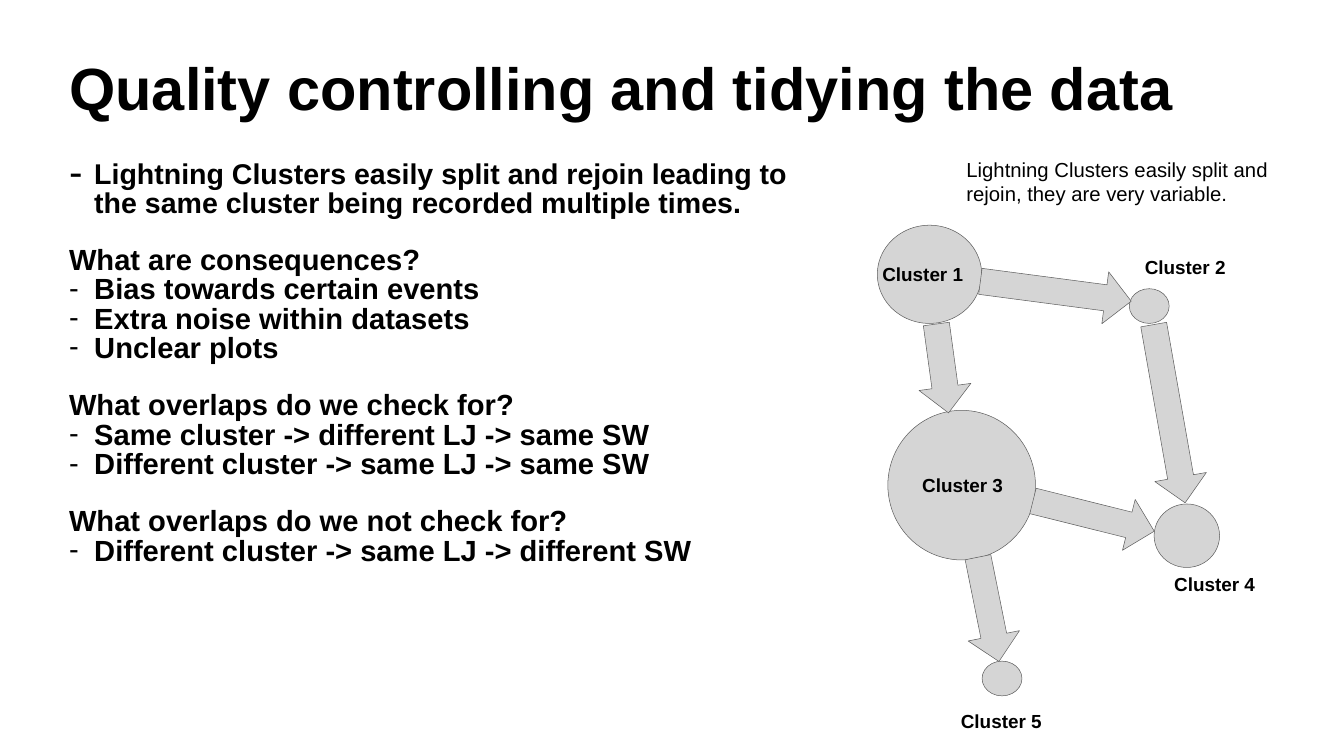
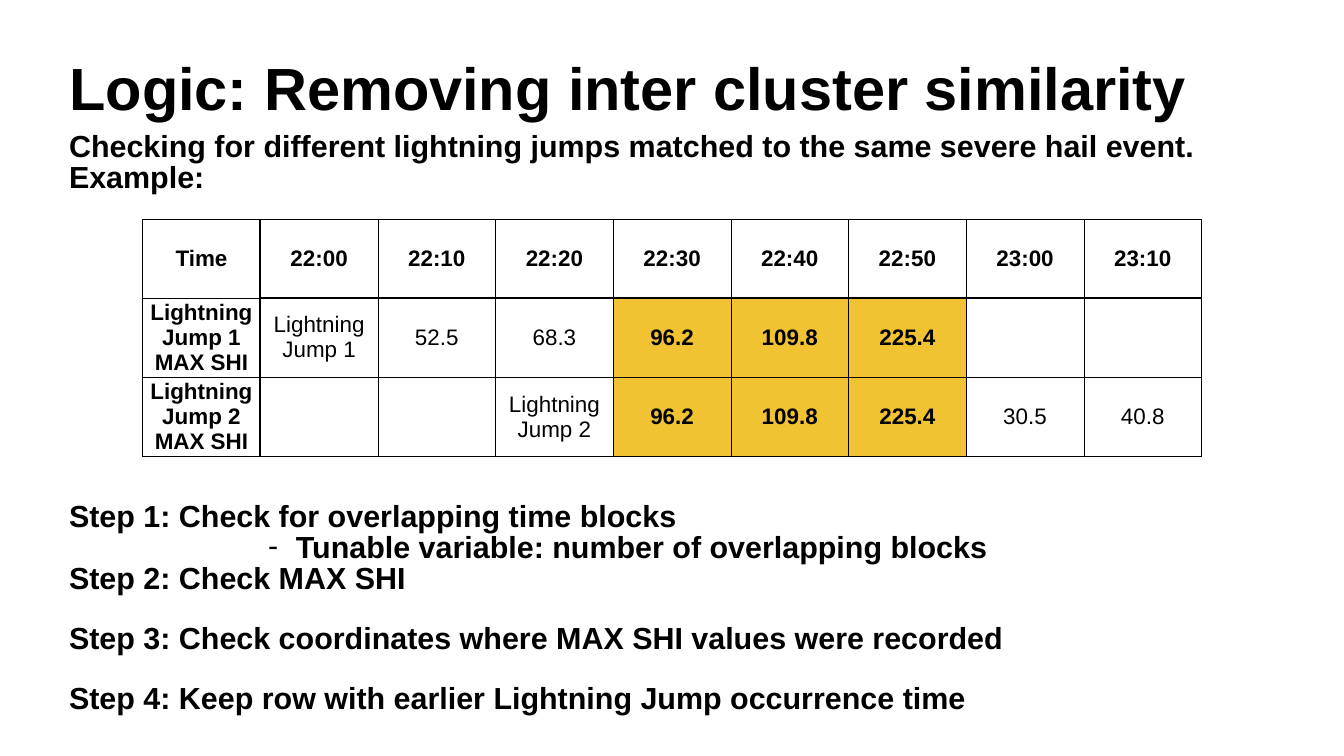
from dataclasses import dataclass

from lxml.etree import SubElement
from pptx import Presentation
from pptx.dml.color import RGBColor
from pptx.enum.shapes import MSO_SHAPE as Preset
from pptx.enum.text import MSO_ANCHOR as Anchor, MSO_AUTO_SIZE as AutoSize, PP_ALIGN as Align
from pptx.oxml.ns import qn
from pptx.util import Cm, Pt


@dataclass(frozen=True)
class Theme:
    font: str = "Arial"
    ink: str = "000000"
    node: str = "D5D5D5"
    edge: str = "5E5E5E"
    match: str = "F1C232"
    title: float = 85
    finding: float = 40.8
    checks: float = 41.6
    steps: float = 43.5
    cell: float = 32
    note: float = 29
    label: float = 27
    spacing: float = 0.84
    thin: float = 1
    thick: float = 3


THEME = Theme()


@dataclass(frozen=True)
class Line:
    text: str
    size: float
    before: float = 0
    indent: float = 0
    hang: float = 0
    bullet_scale: int = 100


@dataclass(frozen=True)
class Cluster:
    name: str
    left: float
    top: float
    width: float
    height: float
    label_left: float
    label_top: float


@dataclass(frozen=True)
class Arrow:
    left: float
    top: float
    width: float
    angle: float


CLUSTERS = [
    Cluster("Cluster 1", 44.22, 11.35, 5.26, 4.95, 44.22, 13),
    Cluster("Cluster 2", 56.92, 14.55, 2.01, 1.75, 57.45, 12.65),
    Cluster("Cluster 3", 44.75, 20.68, 7.44, 7.54, 46.23, 23.6),
    Cluster("Cluster 4", 58.17, 25.4, 3.3, 3.2, 58.93, 28.6),
    Cluster("Cluster 5", 49.5, 33.32, 2.01, 1.75, 48.18, 35.51),
]

ARROWS = [
    Arrow(45.24, 17.25, 4.52, 82.2),
    Arrow(47.14, 29.39, 5.36, 78.6),
    Arrow(51.97, 24.69, 6.3, 14),
    Arrow(54.38, 19.53, 9.12, 80),
    Arrow(49.38, 13.36, 7.67, 7.5),
]


def heading(text: str, before: float = 40) -> Line:
    return Line(text, THEME.checks, before)


def bullet(text: str) -> Line:
    return Line(text, THEME.checks, indent=1.27, hang=1.27)


def step(text: str, before: float = 0) -> Line:
    return Line(text, THEME.steps, before)


CHECKS = [
    Line("Lightning Clusters easily split and rejoin leading to the same cluster "
         "being recorded multiple times.", THEME.finding, 0, 1.27, 1.27, 142),
    heading("What are consequences?"),
    bullet("Bias towards certain events"),
    bullet("Extra noise within datasets"),
    bullet("Unclear plots"),
    heading("What overlaps do we check for?"),
    bullet("Same cluster -> different LJ -> same SW"),
    bullet("Different cluster -> same LJ -> same SW"),
    heading("What overlaps do we not check for?"),
    bullet("Different cluster -> same LJ -> different SW"),
]

STEPS = [
    step("Checking for different lightning jumps matched to the same severe hail event. Example:"),
    step("Step 1: Check for overlapping time blocks", 441),
    Line("Tunable variable: number of overlapping blocks", THEME.steps, indent=11.43, hang=1.4),
    step("Step 2: Check MAX SHI"),
    step("Step 3: Check coordinates where MAX SHI values were recorded", 42),
    step("Step 4: Keep row with earlier Lightning Jump occurrence time", 42),
]

SHARED = ["96.2", "109.8", "225.4"]
JUMPS = [
    ["Time", "22:00", "22:10", "22:20", "22:30", "22:40", "22:50", "23:00", "23:10"],
    ["Lightning Jump 1\nMAX SHI", "Lightning Jump 1", "52.5", "68.3", *SHARED, "", ""],
    ["Lightning Jump 2\nMAX SHI", "", "", "Lightning Jump 2", *SHARED, "30.5", "40.8"],
]


def write(para, text: str, *, size: float, bold: bool = True, align=Align.LEFT,
          spacing: float = 1.0, before: float = 0) -> None:
    """Put text in a paragraph with the given format."""
    para.alignment = align
    para.line_spacing = spacing
    para.space_before = Pt(before)
    span = para.add_run()
    span.text = text
    span.font.name = THEME.font
    span.font.size = Pt(size)
    span.font.bold = bold
    span.font.color.rgb = RGBColor.from_string(THEME.ink)


def add_dash(para, line: Line) -> None:
    properties = para._p.get_or_add_pPr()
    properties.set("marL", str(Cm(line.indent)))
    properties.set("indent", str(-Cm(line.hang)))
    color = SubElement(properties, qn("a:buClr"))
    SubElement(color, qn("a:srgbClr"), val=THEME.ink)
    SubElement(properties, qn("a:buSzPct"), val=str(line.bullet_scale * 1000))
    SubElement(properties, qn("a:buFont"), typeface=THEME.font)
    SubElement(properties, qn("a:buChar"), char="-")


def add_box(page, left: float, top: float, width: float, height: float,
            inset: float, inset_top: float | None = None):
    box = page.shapes.add_textbox(Cm(left), Cm(top), Cm(width), Cm(height))
    frame = box.text_frame
    frame.word_wrap = True
    frame.auto_size = AutoSize.NONE
    frame.vertical_anchor = Anchor.TOP
    frame.margin_left = frame.margin_right = frame.margin_bottom = Cm(inset)
    frame.margin_top = Cm(inset if inset_top is None else inset_top)
    return frame


def add_page(deck, title: str):
    page = deck.slides.add_slide(deck.slide_layouts[6])
    frame = add_box(page, 3.35, 3, 61.04, 3.99, 0.15)
    write(frame.paragraphs[0], title, size=THEME.title, spacing=THEME.spacing)
    return page


def add_body(page, lines: list[Line], width: float, height: float, inset_top: float) -> None:
    frame = add_box(page, 3.35, 6.58, width, height, 0.13, inset_top)
    for index, line in enumerate(lines):
        para = frame.add_paragraph() if index else frame.paragraphs[0]
        if line.hang:
            add_dash(para, line)
        write(para, line.text, size=line.size, spacing=THEME.spacing, before=line.before)


def add_node(page, preset, left: float, top: float, width: float, height: float):
    shape = page.shapes.add_shape(preset, Cm(left), Cm(top), Cm(width), Cm(height))
    shape.shadow.inherit = False
    shape.fill.solid()
    shape.fill.fore_color.rgb = RGBColor.from_string(THEME.node)
    shape.line.color.rgb = RGBColor.from_string(THEME.edge)
    shape.line.width = Pt(0.75)
    return shape


def add_cluster_diagram(page) -> None:
    for item in CLUSTERS:
        add_node(page, Preset.OVAL, item.left, item.top, item.width, item.height)
    note = add_box(page, 48.46, 7.67, 17.98, 3, 0.25)
    write(note.paragraphs[0], "Lightning Clusters easily split and rejoin, they are very variable.",
          size=THEME.note, bold=False)
    for item in CLUSTERS:
        label = add_box(page, item.label_left, item.label_top, 5.26, 1.68, 0.25)
        write(label.paragraphs[0], item.name, size=THEME.label)
    for arrow in ARROWS:
        shape = add_node(page, Preset.RIGHT_ARROW, arrow.left, arrow.top, arrow.width, 2.64)
        shape.rotation = arrow.angle


def set_borders(cell, row: int, column: int) -> None:
    thick_sides = {
        "L": column == 1,
        "R": column == 0,
        "T": row == 1 and column > 0,
        "B": row == 0 and column > 0,
    }
    properties = cell._tc.get_or_add_tcPr()
    for side, is_thick in thick_sides.items():
        width = Pt(THEME.thick if is_thick else THEME.thin)
        border = SubElement(properties, qn(f"a:ln{side}"), w=str(width))
        fill = SubElement(border, qn("a:solidFill"))
        SubElement(fill, qn("a:srgbClr"), val=THEME.ink)


def add_jump_table(page) -> None:
    rows, columns = len(JUMPS), len(JUMPS[0])
    column_width, row_height = 5.93, 3.94
    table = page.shapes.add_table(rows, columns, Cm(7.19), Cm(11.07),
                                  Cm(column_width * columns), Cm(row_height * rows)).table
    table.first_row = table.horz_banding = False
    for column in table.columns:
        column.width = Cm(column_width)
    for row_index, values in enumerate(JUMPS):
        table.rows[row_index].height = Cm(row_height)
        for column_index, value in enumerate(values):
            cell = table.cell(row_index, column_index)
            is_match = value in SHARED
            set_borders(cell, row_index, column_index)
            if is_match:
                cell.fill.solid()
                cell.fill.fore_color.rgb = RGBColor.from_string(THEME.match)
            else:
                cell.fill.background()
            cell.vertical_anchor = Anchor.MIDDLE
            cell.margin_left = cell.margin_right = Cm(0.15)
            cell.margin_top = cell.margin_bottom = Cm(0.1)
            if not value:
                continue
            is_bold = is_match or row_index == 0 or column_index == 0
            for index, text in enumerate(value.split("\n")):
                frame = cell.text_frame
                para = frame.add_paragraph() if index else frame.paragraphs[0]
                write(para, text, size=THEME.cell, bold=is_bold, align=Align.CENTER)


def main() -> None:
    """Build the two slides on cluster overlaps and save the deck."""
    deck = Presentation()
    deck.slide_width, deck.slide_height = Cm(67.74), Cm(38.1)

    quality = add_page(deck, "Quality controlling and tidying the data")
    add_body(quality, CHECKS, 37.36, 26.87, 1.55)
    add_cluster_diagram(quality)

    logic = add_page(deck, "Logic: Removing inter cluster similarity")
    add_body(logic, STEPS, 61.04, 29.44, 0.13)
    add_jump_table(logic)

    deck.save("out.pptx")


if __name__ == "__main__":
    main()
